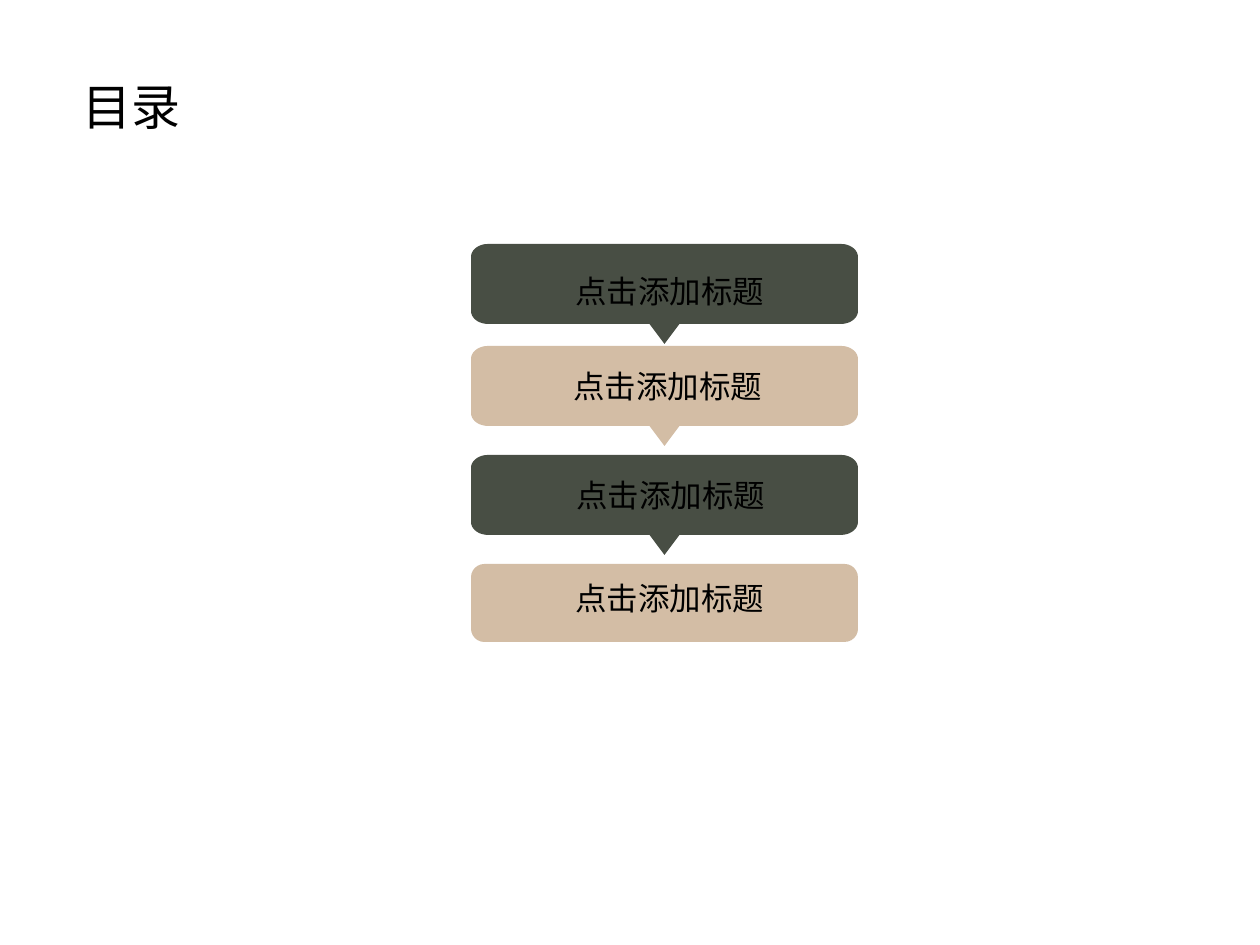
"""Build a contents slide with four stacked title blocks, three pointing down."""
from math import cos, radians, sin

from pptx import Presentation
from pptx.dml.color import RGBColor
from pptx.enum.shapes import MSO_SHAPE
from pptx.enum.text import MSO_ANCHOR, PP_ALIGN
from pptx.oxml.ns import qn
from lxml.etree import SubElement

EMU_PER_PX = 914400 / 126
FONT = "Noto Sans CJK SC"
GREEN, SAND, BLACK = "484E44", "D3BDA5", "000000"


def paint(target, color):
    target.shadow.inherit = False
    target.fill.solid()
    target.fill.fore_color.rgb = RGBColor.from_string(color)
    target.line.fill.background()


def add_text(text, *, left, top, width, height, size, wrap=False, align=PP_ALIGN.LEFT, color=BLACK):
    box = slide.shapes.add_textbox(*(round(n * EMU_PER_PX) for n in (left, top, width, height)))
    frame = box.text_frame
    frame.word_wrap = wrap
    frame.vertical_anchor = MSO_ANCHOR.MIDDLE
    frame.margin_top = frame.margin_bottom = 0
    paragraph = frame.paragraphs[0]
    paragraph.alignment = align
    run = paragraph.add_run()
    run.text = text
    run.font.size = size * 12700
    run.font.color.rgb = RGBColor.from_string(color)
    run.font.name = FONT
    SubElement(run.font._element, qn("a:ea")).set("typeface", FONT)


prs = Presentation()
prs.slide_width, prs.slide_height = round(1260 * EMU_PER_PX), round(945 * EMU_PER_PX)
slide = prs.slides.add_slide(prs.slide_layouts[6])

left, width, body, pointer = 471, 387, 80, 20
right, middle = left + width, left + width / 2
radius_x, radius_y = 17, 13

for top, color in ((244, GREEN), (346, SAND), (455, GREEN)):
    bottom = top + body
    corners = (
        (right - radius_x, top + radius_y, -90),
        (right - radius_x, bottom - radius_y, 0),
        (left + radius_x, bottom - radius_y, 90),
        (left + radius_x, top + radius_y, 180),
    )
    outline = []
    for center_x, center_y, start in corners:
        if start == 90:
            outline += [(middle + 15, bottom), (middle, bottom + pointer), (middle - 15, bottom)]
        for angle in range(start, start + 91, 10):
            outline.append((center_x + radius_x * cos(radians(angle)),
                            center_y + radius_y * sin(radians(angle))))
    points = [(round(x * EMU_PER_PX), round(y * EMU_PER_PX)) for x, y in outline]
    builder = slide.shapes.build_freeform(*points[0])
    builder.add_line_segments(points[1:], close=True)
    paint(builder.convert_to_shape(), color)

last_block = slide.shapes.add_shape(
    MSO_SHAPE.ROUNDED_RECTANGLE, *(round(n * EMU_PER_PX) for n in (left, 564, width, 78)))
last_block.adjustments[0] = 0.17
paint(last_block, SAND)

add_text("目录", left=70, top=70, width=137, height=71, size=28, wrap=True)
for label_left, label_top in ((561, 361), (563, 573), (563, 266), (564, 470)):
    add_text("点击添加标题", left=label_left, top=label_top, width=214, height=50, size=18)

prs.save("out.pptx")
